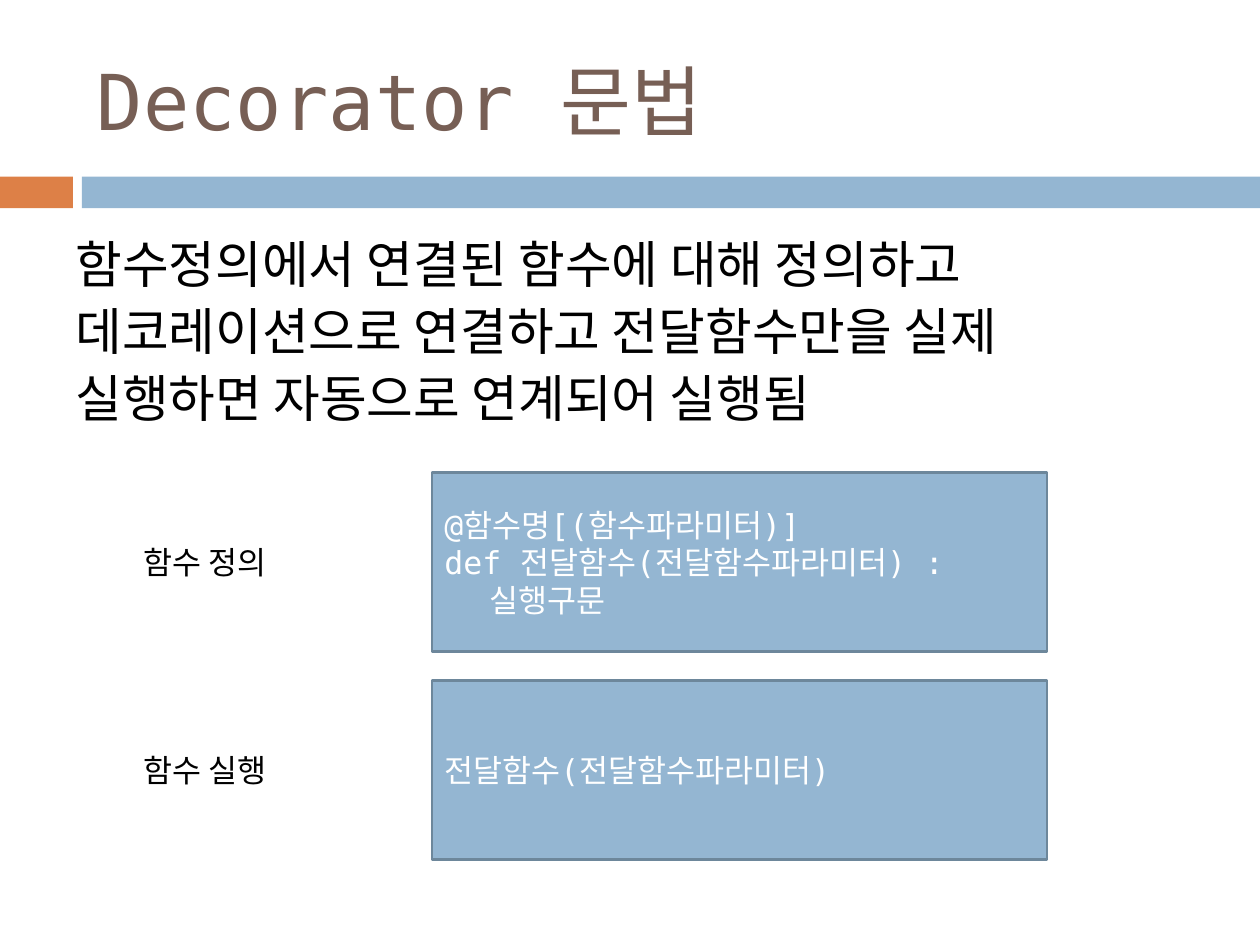
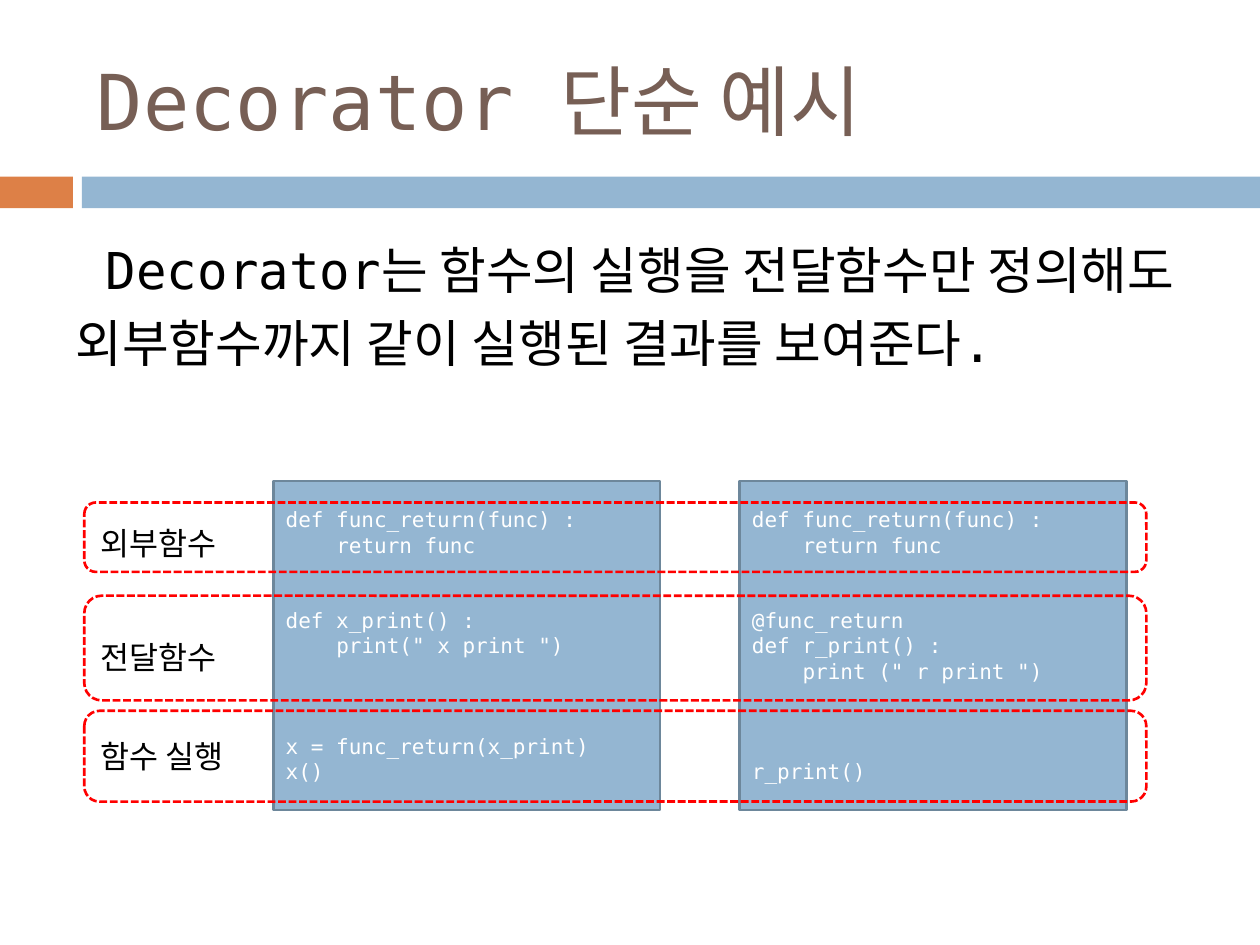
from dataclasses import dataclass

import pptx
import pptx.dml.color
import pptx.enum.dml
import pptx.enum.shapes
import pptx.enum.text
import pptx.util

Cm = pptx.util.Cm
Pt = pptx.util.Pt
Shapes = pptx.enum.shapes.MSO_SHAPE
Anchor = pptx.enum.text.MSO_ANCHOR


@dataclass(frozen=True)
class Theme:
    font: str = "DejaVu Sans Mono"
    title: str = "775F55"
    accent: str = "DD8047"
    panel: str = "94B6D2"
    panel_border: str = "6D879B"
    highlight: str = "FF0000"
    text: str = "000000"
    inverse: str = "FFFFFF"
    title_size: int = 44
    body_size: int = 29
    label_size: int = 18
    code_size: int = 12
    code_line: float = 14.4
    border: float = 1.5


@dataclass(frozen=True)
class Line:
    """One line of code: indent in cm, gap in skipped lines above."""
    text: str
    indent: float = 0
    gap: int = 0


@dataclass(frozen=True)
class Box:
    left: float
    top: float
    width: float
    height: float

    def lengths(self):
        return [Cm(value) for value in (self.left, self.top, self.width, self.height)]


THEME = Theme()
TITLE = Box(1.7, 0.64, 22.66, 2.74)
BAND = Box(0, 3.56, 25.4, 0.64)
BODY = Box(1.27, 4.45, 22.86, 4.45)
LABEL_HEIGHT = 1.02
CODE_INDENT = 1.02


def rgb(value):
    return pptx.dml.color.RGBColor.from_string(value)


def write(frame, lines, size, color=THEME.text, anchor=Anchor.TOP,
          line_spacing=None, space_before=0):
    frame.word_wrap = True
    frame.auto_size = pptx.enum.text.MSO_AUTO_SIZE.NONE
    frame.vertical_anchor = anchor
    for index, line in enumerate(lines):
        paragraph = frame.paragraphs[0] if index == 0 else frame.add_paragraph()
        paragraph.alignment = pptx.enum.text.PP_ALIGN.LEFT
        paragraph.line_spacing = line_spacing
        paragraph.space_before = Pt(space_before + line.gap * THEME.code_line)
        if line.indent:
            paragraph._p.get_or_add_pPr().set("marL", str(Cm(line.indent)))
        run = paragraph.add_run()
        run.text = line.text
        run.font.name = THEME.font
        run.font.size = Pt(size)
        run.font.color.rgb = rgb(color)


def add_block(slide, box, kind=Shapes.RECTANGLE, fill=None, border=None, dash=None):
    shape = slide.shapes.add_shape(kind, *box.lengths())
    shape.shadow.inherit = False
    if fill:
        shape.fill.solid()
        shape.fill.fore_color.rgb = rgb(fill)
    else:
        shape.fill.background()
    if border:
        shape.line.color.rgb = rgb(border)
        shape.line.width = Pt(THEME.border)
        shape.line.dash_style = dash
    else:
        shape.line.fill.background()
    return shape


def add_text(slide, box, text, **text_format):
    frame = slide.shapes.add_textbox(*box.lengths()).text_frame
    write(frame, [Line(text)], **text_format)


def add_code_panel(slide, box, lines, size):
    panel = add_block(slide, box, fill=THEME.panel, border=THEME.panel_border)
    write(panel.text_frame, lines, size=size, color=THEME.inverse, anchor=Anchor.MIDDLE)


def add_band(slide, box):
    accent_width, bar_offset = 1.47, 1.65
    add_block(slide, Box(box.left, box.top, accent_width, box.height), fill=THEME.accent)
    add_block(slide, Box(box.left + bar_offset, box.top, box.width - bar_offset, box.height),
              fill=THEME.panel)


def add_base_slide(presentation, title, body, line_spacing):
    slide = presentation.slides.add_slide(presentation.slide_layouts[5])
    placeholder = slide.shapes.title
    placeholder.left, placeholder.top, placeholder.width, placeholder.height = TITLE.lengths()
    write(placeholder.text_frame, [Line(title)], size=THEME.title_size,
          color=THEME.title, anchor=Anchor.MIDDLE)
    add_band(slide, BAND)
    add_text(slide, BODY, body, size=THEME.body_size,
             line_spacing=line_spacing, space_before=7)
    return slide


def add_syntax_rows(slide, box, rows):
    """Stack rows of a label on the left and a code panel on the right."""
    panel_offset, panel_height, pitch = 6.07, 3.61, 4.19
    for index, (label, lines) in enumerate(rows):
        top = box.top + index * pitch
        add_code_panel(slide, Box(box.left + panel_offset, top,
                                  box.width - panel_offset, panel_height),
                       lines, THEME.label_size)
        label_top = top + (panel_height - LABEL_HEIGHT) / 2
        add_text(slide, Box(box.left, label_top, 5, LABEL_HEIGHT), label,
                 size=THEME.label_size)


def add_code_comparison(slide, box, listings, stages):
    """Place code panels side by side, then outline each stage across them."""
    panel_offset, panel_width, pitch = 3.81, 7.8, 9.4
    for index, lines in enumerate(listings):
        add_code_panel(slide, Box(box.left + panel_offset + index * pitch, box.top,
                                  panel_width, box.height), lines, THEME.code_size)
    for label, offset, height, label_offset in stages:
        top = box.top + offset
        add_block(slide, Box(box.left, top, box.width, height),
                  kind=Shapes.ROUNDED_RECTANGLE, border=THEME.highlight,
                  dash=pptx.enum.dml.MSO_LINE.SQUARE_DOT)
        add_text(slide, Box(box.left + 0.08, top + label_offset, 3.61, LABEL_HEIGHT),
                 label, size=THEME.label_size)


def build_syntax_slide(presentation):
    slide = add_base_slide(
        presentation, "Decorator 문법",
        "함수정의에서 연결된 함수에 대해 정의하고 데코레이션으로 연결하고 "
        "전달함수만을 실제 실행하면 자동으로 연계되어 실행됨", 1.1)
    definition = [Line("@함수명[(함수파라미터)]"),
                  Line("def 전달함수(전달함수파라미터) :"),
                  Line("실행구문", indent=0.91)]
    call = [Line("전달함수(전달함수파라미터)")]
    add_syntax_rows(slide, Box(2.64, 9.53, 18.47, 7.8),
                    [("함수 정의", definition), ("함수 실행", call)])


def build_example_slide(presentation):
    slide = add_base_slide(
        presentation, "Decorator 단순 예시",
        " Decorator는 함수의 실행을 전달함수만 정의해도 "
        "외부함수까지 같이 실행된 결과를 보여준다.", 1.2)
    outer = [Line("def func_return(func) :"), Line("return func", indent=CODE_INDENT)]
    plain = outer + [Line("def x_print() :", gap=2),
                     Line('print(" x print ")', indent=CODE_INDENT),
                     Line("x = func_return(x_print)", gap=3),
                     Line("x()")]
    decorated = outer + [Line("@func_return", gap=2),
                         Line("def r_print() :"),
                         Line('print (" r print ")', indent=CODE_INDENT),
                         Line("r_print()", gap=3)]
    stages = [("외부함수", 0.43, 1.4, 0.31),
              ("전달함수", 2.31, 2.11, 0.72),
              ("함수 실행", 4.63, 1.83, 0.4)]
    add_code_comparison(slide, Box(1.7, 9.7, 21.41, 6.63), [plain, decorated], stages)


def main():
    presentation = pptx.Presentation()
    presentation.slide_width = Cm(25.4)
    presentation.slide_height = Cm(19.05)
    build_syntax_slide(presentation)
    build_example_slide(presentation)
    presentation.save("out.pptx")


if __name__ == "__main__":
    main()
